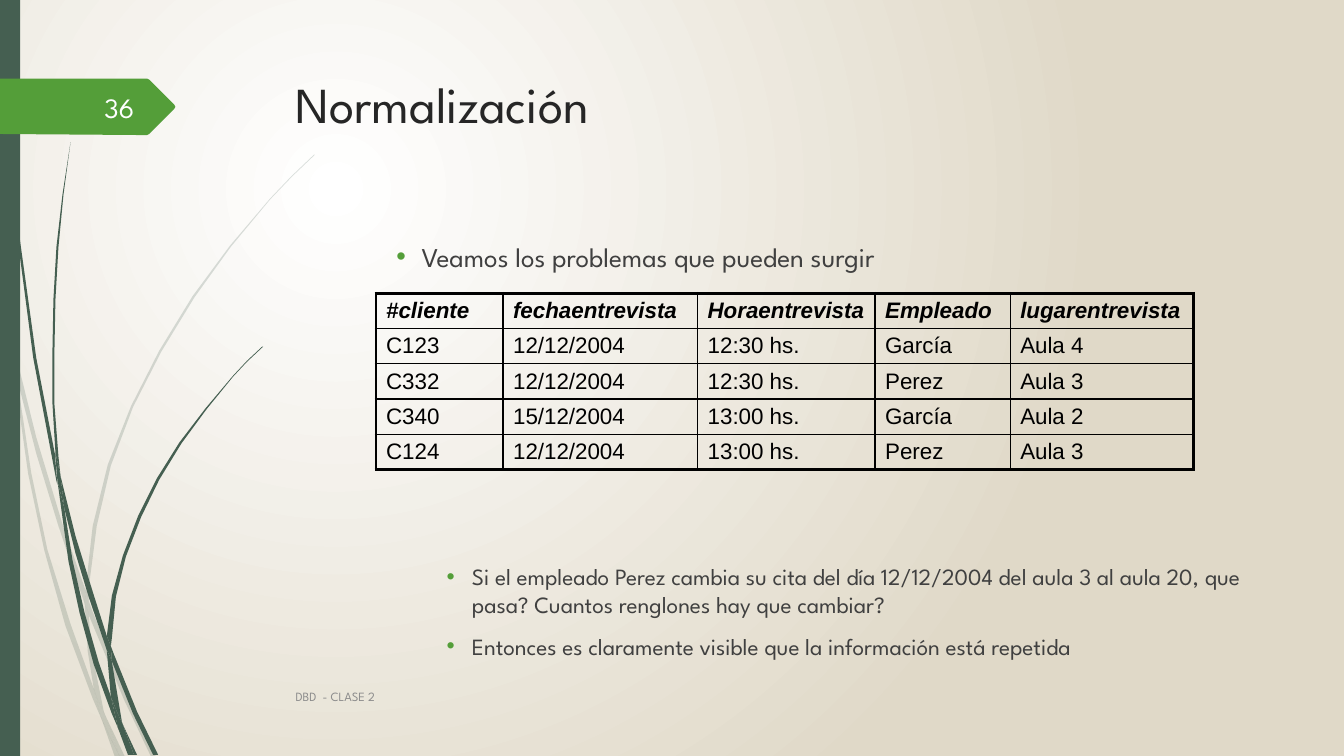
"""Builds the slide on normalisation with its interview table and grass motif."""
from lxml.etree import SubElement
from pptx import Presentation
from pptx.dml.color import RGBColor
from pptx.enum.shapes import MSO_SHAPE
from pptx.enum.text import MSO_ANCHOR, PP_ALIGN
from pptx.oxml.ns import qn
from pptx.util import Pt

GREEN, DARK_GREEN, BLACK = "549E39", "455F51", "000000"
GRASS_UNIT = Pt(0.72)

PALE_BLADES = [
    [(11, 350), (9, 322), (0, 282), (0, 299), (10, 344)],
    [(58, 522), (84, 599), (85, 586), (62, 520), (36, 434), (14, 345), (17, 376), (36, 450)],
    [(92, 607), (88, 596), (88, 610), (123, 694), (150, 751), (155, 751), (127, 692)],
    [(119, 751), (124, 751), (105, 711)],
    [(93, 683), (70, 619), (47, 545), (31, 469), (17, 376), (11, 350), (28, 470), (44, 546),
     (65, 621), (92, 693), (101, 714), (99, 707)],
    [(84, 599), (87, 646), (93, 683), (96, 692), (105, 711), (103, 706), (91, 646), (88, 610),
     (88, 608)],
    [(88, 584), (96, 522), (110, 462), (132, 404), (160, 349), (193, 295), (229, 245),
     (268, 198), (290, 175), (312, 154), (312, 153), (289, 175), (268, 197), (228, 244),
     (191, 294), (158, 348), (130, 403), (107, 461), (92, 522), (85, 584), (85, 586),
     (88, 596)],
    [(101, 714), (114, 751), (119, 751)],
    [(88, 608), (88, 610), (88, 596), (85, 586), (84, 599)],
    [(96, 692), (93, 683), (99, 707), (101, 714), (119, 751), (105, 711)],
]
DARK_BLADES = [
    [(7, 110), (17, 233), (33, 355), (56, 477), (57, 481), (55, 457), (55, 453), (36, 355),
     (19, 232), (8, 109), (5, 48), (4, 0), (3, 0), (4, 48)],
    [(88, 592), (106, 645), (106, 631), (93, 590), (75, 532), (60, 472), (64, 505), (75, 549)],
    [(113, 649), (110, 641), (111, 656), (132, 708), (152, 749), (157, 749), (136, 706)],
    [(110, 691), (98, 657), (84, 608), (72, 556), (64, 505), (57, 477), (68, 557), (79, 608),
     (93, 659), (111, 708), (117, 722), (116, 717)],
    [(60, 472), (58, 453), (54, 401), (54, 349), (55, 297), (58, 245), (63, 193), (70, 141),
     (62, 193), (56, 245), (53, 297), (52, 349), (52, 400), (55, 449)],
    [(133, 749), (136, 749), (122, 719)],
    [(57, 477), (64, 505), (60, 472), (55, 449), (55, 453)],
    [(111, 633), (115, 592), (125, 552), (140, 513), (158, 476), (180, 440), (205, 406),
     (231, 374), (245, 359), (261, 344), (260, 344), (245, 358), (231, 373), (204, 405),
     (178, 439), (156, 474), (137, 512), (122, 551), (111, 591), (106, 631), (110, 641)],
    [(117, 722), (127, 749), (131, 749)],
    [(106, 645), (110, 691), (116, 706), (122, 719), (121, 716), (111, 656), (109, 651)],
    [(106, 645), (109, 651), (111, 656), (110, 641), (106, 631)],
    [(116, 706), (110, 691), (116, 717), (117, 722), (130, 749), (133, 749), (122, 719)],
]
NUMBER_TAG = [(0, 78), (146, 78), (148, 79), (173, 104), (174, 106), (173, 108), (148, 133),
              (146, 134), (136, 134), (0, 133)]

COLUMN_WIDTHS = [90.7, 139, 126.8, 96.5, 131]
INTERVIEWS = [
    ["#cliente", "fechaentrevista", "Horaentrevista", "Empleado", "lugarentrevista"],
    ["C123", "12/12/2004", "12:30 hs.", "García", "Aula 4"],
    ["C332", "12/12/2004", "12:30 hs.", "Perez", "Aula 3"],
    ["C340", "15/12/2004", "13:00 hs.", "García", "Aula 2"],
    ["C124", "12/12/2004", "13:00 hs.", "Perez", "Aula 3"],
]


def color(value):
    return RGBColor.from_string(value)


class SlideBuilder:
    def __init__(self, slide, font):
        self.slide = slide
        self.font = font

    def background(self, center, edge):
        fill = self.slide.background.fill
        fill.gradient()
        for stop, value, position in zip(fill.gradient_stops, (center, edge), (0, 1)):
            stop.color.rgb = color(value)
            stop.position = position
        gradient = self.slide.element.find(".//" + qn("a:gradFill"))
        gradient.remove(gradient.find(qn("a:lin")))
        circle = SubElement(gradient, qn("a:path"), path="circle")
        SubElement(circle, qn("a:fillToRect"), l="50000", t="50000", r="100000", b="100000")

    def paint(self, shape, fill, opacity):
        shape.shadow.inherit = False
        shape.fill.solid()
        shape.fill.fore_color.rgb = color(fill)
        shape.line.fill.background()
        if opacity < 100:
            rgb = shape.fill._xPr.find(".//" + qn("a:srgbClr"))
            SubElement(rgb, qn("a:alpha"), val=str(opacity * 1000))

    def outline(self, points, fill, opacity=100):
        builder = self.slide.shapes.build_freeform(*points[0], scale=GRASS_UNIT)
        builder.add_line_segments(points[1:], close=True)
        self.paint(builder.convert_to_shape(), fill, opacity)

    def rectangle(self, left, top, width, height, fill):
        box = (Pt(length) for length in (left, top, width, height))
        self.paint(self.slide.shapes.add_shape(MSO_SHAPE.RECTANGLE, *box), fill, 100)

    def style(self, paragraph, size, value, font=None, strong=False):
        for run in paragraph.runs:
            run.font.name = font or self.font
            run.font.size = Pt(size)
            run.font.color.rgb = color(value)
            run.font.bold = run.font.italic = strong

    def text(self, box, lines, size, value, anchor=MSO_ANCHOR.TOP, align=PP_ALIGN.LEFT,
             bullet_indent=None):
        shape = self.slide.shapes.add_textbox(*(Pt(length) for length in box))
        frame = shape.text_frame
        frame.word_wrap = True
        frame.vertical_anchor = anchor
        frame.text = "\n".join(lines)
        for index, paragraph in enumerate(frame.paragraphs):
            paragraph.alignment = align
            if index:
                paragraph.space_before = Pt(10)
            if bullet_indent:
                self.bullet(paragraph, bullet_indent)
            self.style(paragraph, size, value)

    def bullet(self, paragraph, indent):
        properties = paragraph._p.get_or_add_pPr()
        properties.set("marL", str(Pt(indent)))
        properties.set("indent", str(-Pt(18)))
        bullet_color = SubElement(properties, qn("a:buClr"))
        SubElement(bullet_color, qn("a:srgbClr"), val=GREEN)
        SubElement(properties, qn("a:buFont"), typeface="Arial")
        SubElement(properties, qn("a:buChar"), char="•")

    def table(self, left, top, widths, row_height, rows):
        size = (Pt(sum(widths)), Pt(row_height * len(rows)))
        frame = self.slide.shapes.add_table(len(rows), len(widths), Pt(left), Pt(top), *size)
        table = frame.table
        table.first_row = table.horz_banding = False
        for column, width in zip(table.columns, widths):
            column.width = Pt(width)
        last_row, last_column = len(rows) - 1, len(widths) - 1
        for row, values in enumerate(rows):
            table.rows[row].height = Pt(row_height)
            for column, value in enumerate(values):
                cell = table.cell(row, column)
                cell.text = value
                cell.vertical_anchor = MSO_ANCHOR.MIDDLE
                cell.margin_top = cell.margin_bottom = Pt(3)
                cell.margin_right = Pt(4)
                self.style(cell.text_frame.paragraphs[0], 16, BLACK, "Arial", row == 0)
                outer = {"lnL": column == 0, "lnR": column == last_column,
                         "lnT": row == 0, "lnB": row == last_row}
                self.borders(cell, outer)
                cell.fill.background()

    def borders(self, cell, outer):
        properties = cell._tc.get_or_add_tcPr()
        for side, is_outer in outer.items():
            width = Pt(2.25 if is_outer else 1)
            line = SubElement(properties, qn("a:" + side), w=str(width))
            fill = SubElement(line, qn("a:solidFill"))
            SubElement(fill, qn("a:srgbClr"), val=BLACK)


def main():
    presentation = Presentation()
    presentation.slide_width, presentation.slide_height = Pt(960), Pt(540)
    slide = presentation.slides.add_slide(presentation.slide_layouts[6])
    builder = SlideBuilder(slide, "League Spartan")
    builder.background("FFFFFF", "E0D9C8")
    for blade in PALE_BLADES:
        builder.outline(blade, DARK_GREEN, opacity=20)
    for blade in DARK_BLADES:
        builder.outline(blade, DARK_GREEN)
    builder.rectangle(0, 0, 14.4, 540, DARK_GREEN)
    builder.outline(NUMBER_TAG, GREEN)
    builder.text((204, 49, 702, 101), ["Normalización"], 36, "262626")
    builder.text((204, 483, 600, 29), ["DBD  - CLASE 2"], 9, "8C8C8C", MSO_ANCHOR.MIDDLE)
    builder.text((42, 62, 61, 29), ["36"], 20, "FEFFFF", MSO_ANCHOR.MIDDLE, PP_ALIGN.RIGHT)
    builder.text((204, 168, 702, 36), ["Veamos los problemas que pueden surgir"],
                 19.4, "404040", bullet_indent=90)
    builder.text((204, 398, 702, 80), [
        "Si el empleado Perez cambia su cita del día 12/12/2004 del aula 3 al aula 20, que pasa? "
        "Cuantos renglones hay que cambiar?",
        "Entonces es claramente visible que la información está repetida",
    ], 16.6, "404040", bullet_indent=126)
    builder.table(268.6, 209.5, COLUMN_WIDTHS, 25, INTERVIEWS)
    presentation.save("out.pptx")


if __name__ == "__main__":
    main()
